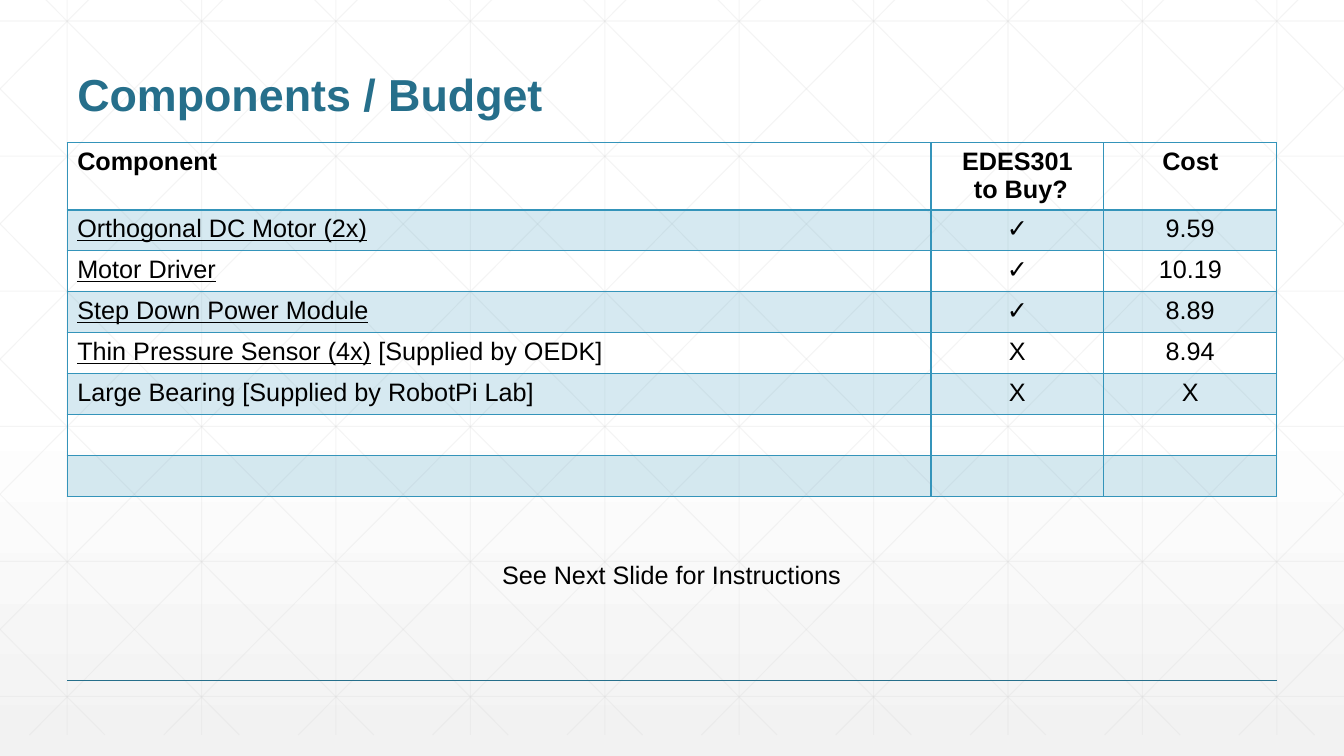
from pptx import Presentation
from pptx.dml.color import RGBColor
from pptx.enum.shapes import MSO_CONNECTOR
from pptx.enum.text import MSO_ANCHOR, MSO_AUTO_SIZE, PP_ALIGN
from pptx.oxml import parse_xml
from pptx.oxml.ns import nsdecls, qn
from pptx.oxml.xmlchemy import OxmlElement
from pptx.util import Pt

COLORS = {"title": "266F8B", "accent": "3494BA", "text": "000000",
          "grid": "D8D8D8", "top": "FFFFFF", "bottom": "F2F2F2"}
WIDTH, HEIGHT = 960, 540
LEFT, CONTENT_WIDTH = 48, 864
STEP = 96
GRID_TOP, GRID_BOTTOM, GRID_RUN = -15, 525, 537
COLUMN_WIDTHS = (617, 123.5, 123.5)
HEADER_HEIGHT, ROW_HEIGHT = 48, 29.2
HEADER = ("Component", "EDES301\n to Buy?", "Cost")
ROWS = (
    ("Orthogonal DC Motor (2x)", "", "✓", "9.59"),
    ("Motor Driver", "", "✓", "10.19"),
    ("Step Down Power Module", "", "✓", "8.89"),
    ("Thin Pressure Sensor (4x)", " [Supplied by OEDK]", "X", "8.94"),
    ("", "Large Bearing [Supplied by RobotPi Lab]", "X", "X"),
    ("", "", "", ""),
    ("", "", "", ""),
)


def rgb(name):
    """Return the named colour."""
    return RGBColor.from_string(COLORS[name])


def fade(element, percent):
    """Give every plain colour inside an element an opacity."""
    for color in element.iter(qn("a:srgbClr")):
        alpha = OxmlElement("a:alpha")
        alpha.set("val", str(percent * 1000))
        color.append(alpha)


def add_run(p, text, color="text", **formats):
    """Append a formatted run to a paragraph."""
    r = p.add_run()
    r.text = text
    values = {"name": "Arial", "size": Pt(18), "bold": False} | formats
    for key, value in values.items():
        setattr(r.font, key, value)
    r.font.color.rgb = rgb(color)


def add_line(shapes, start, end, color, width):
    """Draw a straight line between two points."""
    points = [Pt(v) for v in (*start, *end)]
    line = shapes.add_connector(MSO_CONNECTOR.STRAIGHT, *points)
    line.line.color.rgb = rgb(color)
    line.line.width = Pt(width)
    line._element.spPr.append(OxmlElement("a:effectLst"))
    return line


def diagonal(top_x):
    """Return the ends of a falling diagonal, cut at the slide's sides."""
    slope = (GRID_BOTTOM - GRID_TOP) / GRID_RUN
    ends = (max(top_x, 0), min(top_x + GRID_RUN, WIDTH))
    return [(x, round(GRID_TOP + (x - top_x) * slope, 2)) for x in ends]


def add_grid(s):
    """Draw the faint background grid as one group."""
    lines = [((x, GRID_TOP), (x, GRID_BOTTOM))
             for x in range(LEFT, WIDTH, STEP)]
    lines += [((0, 15 + 96.5 * i), (WIDTH, 15 + 96.5 * i)) for i in range(6)]
    for i in range(-5, 10):
        falling = diagonal(18 + STEP * i)
        lines += [falling, [(WIDTH - x, y) for x, y in falling]]
    group = s.shapes.add_group_shape()
    for start, end in lines:
        fade(add_line(group.shapes, start, end, "grid", 0.75)._element, 25)


def set_background(s):
    """Fill the background with a vertical gradient."""
    fill = s.background.fill
    fill.gradient()
    fill.gradient_angle = 270
    stops = (("top", 0.53), ("bottom", 1))
    for stop, (color, position) in zip(fill.gradient_stops, stops):
        stop.color.rgb = rgb(color)
        stop.position = position


def add_title(s, text):
    """Place the title placeholder in front of the grid."""
    title = s.shapes.title
    title.element.getparent().append(title.element)
    box = {"left": LEFT, "top": 18, "width": CONTENT_WIDTH, "height": 72}
    for key, value in box.items():
        setattr(title, key, Pt(value))
    tf = title.text_frame
    tf.auto_size = MSO_AUTO_SIZE.NONE
    tf.vertical_anchor = MSO_ANCHOR.BOTTOM
    p = tf.paragraphs[0]
    p.alignment = PP_ALIGN.LEFT
    p.line_spacing = 0.9
    add_run(p, text, "title", size=Pt(32), bold=True)


def format_cell(cell, row):
    """Set the borders and the banded fill of a cell."""
    tc_pr = cell._tc.get_or_add_tcPr()
    heavy = {0: "B", 1: "T"}.get(row)
    for side in "LRTB":
        width = Pt(2 if side == heavy else 1)
        tc_pr.append(parse_xml(
            f'<a:ln{side} {nsdecls("a")} w="{width}"><a:solidFill>'
            f'<a:srgbClr val="{COLORS["accent"]}"/></a:solidFill></a:ln{side}>'))
    if row % 2:
        cell.fill.solid()
        cell.fill.fore_color.rgb = rgb("accent")
        fade(tc_pr.find(qn("a:solidFill")), 20)
    else:
        cell.fill.background()


def fill_cell(cell, column, paragraphs):
    """Write paragraphs of (text, formats) runs into a cell."""
    tf = cell.text_frame
    for i, runs in enumerate(paragraphs):
        p = tf.add_paragraph() if i else tf.paragraphs[0]
        p.alignment = PP_ALIGN.CENTER if column else PP_ALIGN.LEFT
        for text, formats in runs:
            if text:
                add_run(p, text, **formats)


def add_budget_table(s):
    """Add the table of components and costs."""
    height = HEADER_HEIGHT + ROW_HEIGHT * len(ROWS)
    table = s.shapes.add_table(len(ROWS) + 1, len(HEADER), Pt(LEFT), Pt(102),
                               Pt(CONTENT_WIDTH), Pt(height)).table
    table.horz_banding = False
    for column, width in zip(table.columns, COLUMN_WIDTHS):
        column.width = Pt(width)
    content = [[[[(line, {"bold": True})] for line in text.split("\n")]
                for text in HEADER]]
    for linked, plain, buy, cost in ROWS:
        content.append([[[(linked, {"underline": True}), (plain, {})]],
                        [[(buy, {})]], [[(cost, {})]]])
    for i, cells in enumerate(content):
        table.rows[i].height = Pt(ROW_HEIGHT if i else HEADER_HEIGHT)
        for j, paragraphs in enumerate(cells):
            format_cell(table.cell(i, j), i)
            fill_cell(table.cell(i, j), j, paragraphs)


def add_note(s, text):
    """Add the note below the table."""
    sp = s.shapes.add_textbox(Pt(351.5), Pt(396), Pt(259), Pt(29))
    tf = sp.text_frame
    tf.word_wrap = True
    add_run(tf.paragraphs[0], text)


def main():
    """Build and save the slide."""
    prs = Presentation()
    prs.slide_width, prs.slide_height = Pt(WIDTH), Pt(HEIGHT)
    s = prs.slides.add_slide(prs.slide_layouts[5])
    set_background(s)
    add_grid(s)
    add_line(s.shapes, (LEFT, 486), (LEFT + CONTENT_WIDTH, 486), "title", 1)
    add_title(s, "Components / Budget")
    add_budget_table(s)
    add_note(s, "See Next Slide for Instructions")
    prs.save("out.pptx")


if __name__ == "__main__":
    main()
